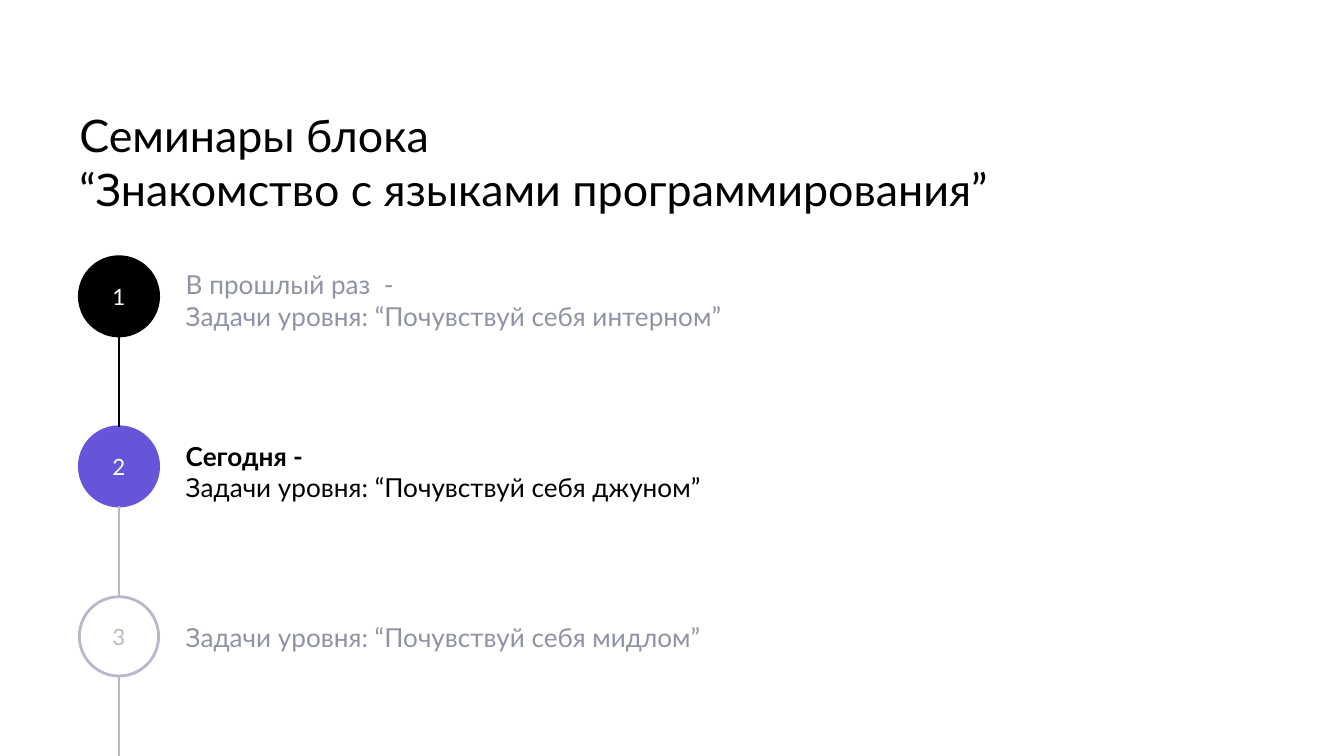
from pptx import Presentation
from pptx.dml.color import RGBColor
from pptx.enum.shapes import MSO_CONNECTOR, MSO_SHAPE
from pptx.enum.text import MSO_ANCHOR, PP_ALIGN
from pptx.oxml.ns import qn
from pptx.util import Pt
from lxml import etree

STRAIGHT = MSO_CONNECTOR.STRAIGHT
OVAL = MSO_SHAPE.OVAL
MIDDLE, TOP = MSO_ANCHOR.MIDDLE, MSO_ANCHOR.TOP
CENTER, LEFT = PP_ALIGN.CENTER, PP_ALIGN.LEFT

WIDTH, HEIGHT = 720, 405
FONT = "Lato"
BLACK, WHITE, VIOLET = "000000", "FFFFFF", "6654D9"
GREY, PALE = "8F93A3", "B7B9C8"

# number, fill, outline, digit colour, label offset, label size, label colour, lines
STEPS = [
    ("1", BLACK, BLACK, WHITE, -0.7, (417, 44), GREY,
     [("В прошлый раз  -", False),
      ("Задачи уровня: “Почувствуй себя интерном”", False)]),
    ("2", VIOLET, VIOLET, WHITE, 0, (350, 42.5), BLACK,
     [("Сегодня -", True),
      ("Задачи уровня: “Почувствуй себя джуном”", False)]),
    ("3", WHITE, PALE, PALE, 5.9, (355, 29.5), GREY,
     [("Задачи уровня: “Почувствуй себя мидлом”", False)]),
]
LINK_COLORS = [BLACK, PALE, PALE]


def rgb(color):
    """Turn a hex string into a colour."""
    return RGBColor.from_string(color)


def write(sp, lines, size, color, insets, align=LEFT, anchor=TOP):
    """Write (text, bold) lines into a shape, one paragraph each."""
    tf = sp.text_frame
    tf.word_wrap = True
    tf.vertical_anchor = anchor
    tf.margin_left, tf.margin_top, tf.margin_right, tf.margin_bottom = map(Pt, insets)
    for i, (text, bold) in enumerate(lines):
        p = tf.paragraphs[0] if i == 0 else tf.add_paragraph()
        p.alignment = align
        r = p.add_run()
        r.text = text
        r.font.name = FONT
        r.font.size = Pt(size)
        r.font.bold = bold
        r.font.color.rgb = rgb(color)


def add_text(s, box, lines, size, color, insets):
    """Add a text box."""
    sp = s.shapes.add_textbox(*map(Pt, box))
    write(sp, lines, size, color, insets)


def add_badge(s, box, number, fill, outline, color):
    """Add a numbered circle."""
    sp = s.shapes.add_shape(OVAL, *map(Pt, box))
    sp.shadow.inherit = False
    sp.fill.solid()
    sp.fill.fore_color.rgb = rgb(fill)
    sp.line.color.rgb = rgb(outline)
    sp.line.width = Pt(1.5)
    write(sp, [(number, False)], 12, color, (7.2,) * 4, CENTER, MIDDLE)


def add_link(s, x, top, bottom, color):
    """Add a vertical line between two steps."""
    c = s.shapes.add_connector(STRAIGHT, Pt(x), Pt(top), Pt(x), Pt(bottom))
    c.line.color.rgb = rgb(color)
    c.line.width = Pt(1.5)
    etree.SubElement(c._element.spPr, qn("a:effectLst"))


def add_title(s, left, top, width, height):
    """Add the two-line heading."""
    lines = [("Семинары блока", False),
             ("“Знакомство с языками программирования”", False)]
    add_text(s, (left, top, width, height), lines, 24, BLACK, (0, 0.7, 0, 0))


def add_timeline(s, left, top, diameter, pitch, bottom):
    """Add the numbered steps with their labels and joining lines."""
    for i, (number, fill, outline, digit, offset, size, color, lines) in enumerate(STEPS):
        y = top + i * pitch
        add_badge(s, (left, y, diameter, diameter), number, fill, outline, digit)
        add_text(s, (left + 57, y + offset, *size), lines, 14, color,
                 (0, 7.2, 7.2, 7.2))
    for i, color in enumerate(LINK_COLORS):
        y = top + i * pitch
        add_link(s, left + diameter / 2, y + diameter, min(y + pitch, bottom), color)


def main():
    """Build the slide and save it."""
    prs = Presentation()
    prs.slide_width, prs.slide_height = Pt(WIDTH), Pt(HEIGHT)
    s = prs.slides.add_slide(prs.slide_layouts[6])
    add_timeline(s, 42.5, 137.5, 42.5, 91.1, HEIGHT)
    add_title(s, 42.5, 57, 635, 25)
    prs.save("out.pptx")


if __name__ == "__main__":
    main()
